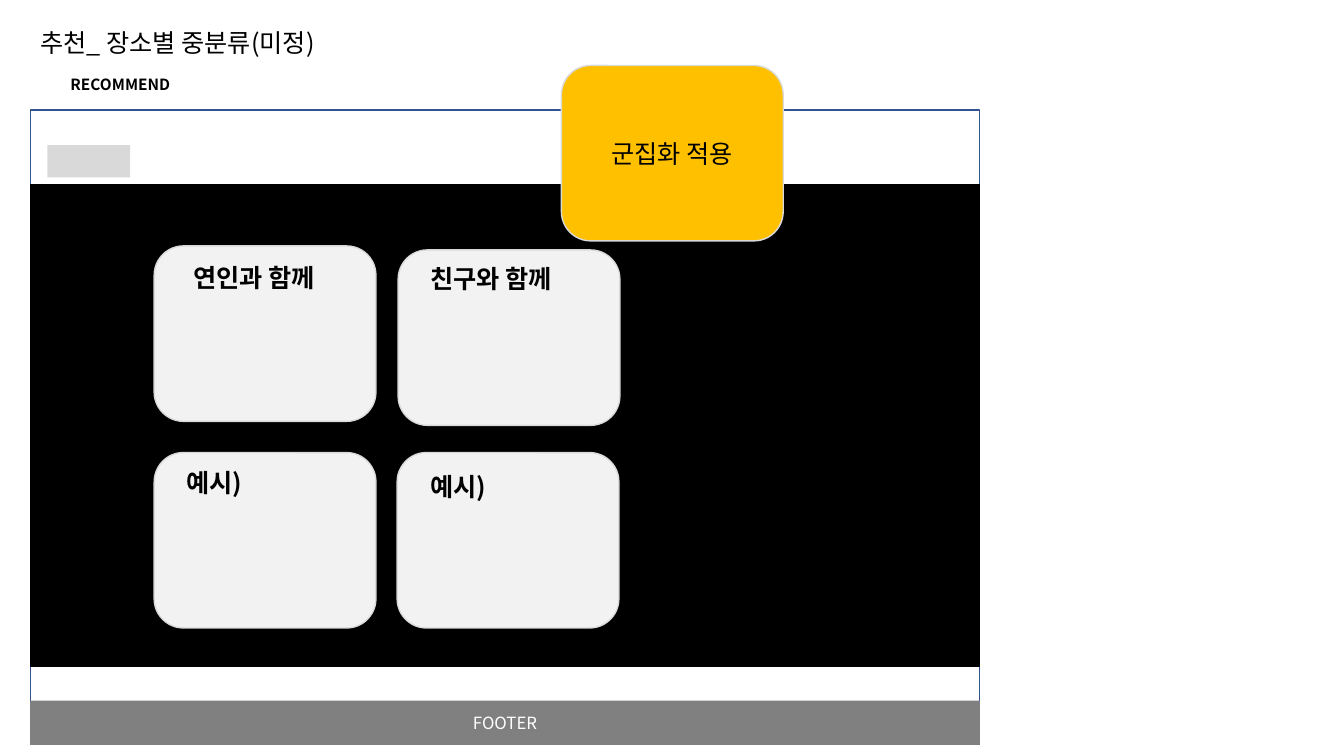
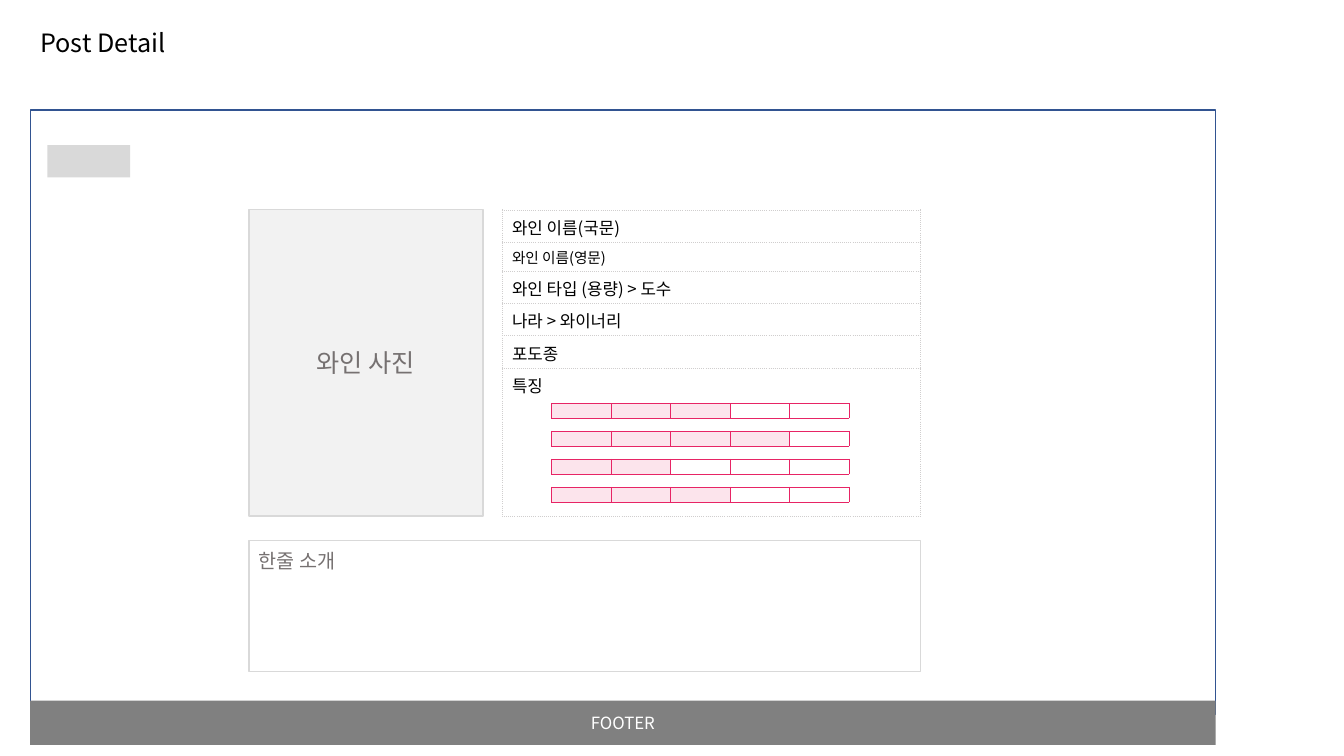
import lxml.etree
import pptx
import pptx.dml.color
import pptx.enum.shapes
import pptx.enum.text
import pptx.oxml.ns
import pptx.util

# Every length is a count of columns or rows on a grid of tenth-inch cells.
CELL = pptx.util.Inches(0.1)
PAGE_COLUMNS, PAGE_ROWS = 133.33, 75
TITLE_ONLY = 5

FONT = "Noto Sans CJK KR"
BLACK, WHITE = "000000", "FFFFFF"
FRAME_BLUE = "325491"
FOOTER_GREY = "808080"
PANEL, PANEL_EDGE = "F2F2F2", "D9D9D9"
HINT_GREY, DOT_GREY = "767171", "D0CECE"
HIGHLIGHT = "FFC000"
GAUGE, GAUGE_FILL = "E72465", "FCE4EC"

SHAPE = pptx.enum.shapes.MSO_SHAPE
ALIGN = pptx.enum.text.PP_ALIGN
ANCHOR = pptx.enum.text.MSO_ANCHOR

PAGE_LEFT = 3
FRAME_TOP, FRAME_ROWS = 10.9, 60
FOOTER_TOP, FOOTER_ROWS = 69.5, 4.4
CARD_SIZE = (22, 17.4)


def cells(count):
    return round(count * CELL)


def place(left, top, columns, rows):
    return [cells(count) for count in (left, top, columns, rows)]


def rgb(colour):
    return pptx.dml.color.RGBColor.from_string(colour)


def format_text(para, size, colour=BLACK, bold=False, align=ALIGN.LEFT):
    para.alignment = align
    for span in para.runs:
        span.font.size = pptx.util.Pt(size)
        span.font.bold = bold
        span.font.name = FONT
        span.font.color.rgb = rgb(colour)
        east_asian = lxml.etree.Element(pptx.oxml.ns.qn("a:ea"), typeface=FONT)
        span.font._element.find(pptx.oxml.ns.qn("a:latin")).addnext(east_asian)


def add_box(page, area, fill=None, line=None, kind=SHAPE.RECTANGLE):
    box = page.shapes.add_shape(kind, *place(*area))
    box.shadow.inherit = False
    if fill:
        box.fill.solid()
        box.fill.fore_color.rgb = rgb(fill)
    else:
        box.fill.background()
    if line:
        box.line.color.rgb = rgb(line)
        box.line.width = pptx.util.Pt(1)
    else:
        box.line.fill.background()
    return box


def write_in(box, text, size, colour=BLACK, align=ALIGN.CENTER, anchor=ANCHOR.MIDDLE):
    box.text_frame.text = text
    box.text_frame.vertical_anchor = anchor
    format_text(box.text_frame.paragraphs[0], size, colour, align=align)


def add_label(page, area, text, size, align=ALIGN.LEFT):
    box = page.shapes.add_textbox(*place(*area))
    box.text_frame.word_wrap = True
    box.text_frame.text = text
    format_text(box.text_frame.paragraphs[0], size, bold=True, align=align)


def add_card(page, left, top, fill=PANEL):
    return add_box(page, (left, top, *CARD_SIZE), fill, PANEL_EDGE,
                   SHAPE.FLOWCHART_ALTERNATE_PROCESS)


def border_cell(cell, colour, dash):
    properties = cell._tc.get_or_add_tcPr()
    for index, side in enumerate(("lnL", "lnR", "lnT", "lnB")):
        edge = lxml.etree.Element(pptx.oxml.ns.qn("a:" + side),
                                  w=str(pptx.util.Pt(0.25)))
        fill = lxml.etree.SubElement(edge, pptx.oxml.ns.qn("a:solidFill"))
        lxml.etree.SubElement(fill, pptx.oxml.ns.qn("a:srgbClr"), val=colour)
        lxml.etree.SubElement(edge, pptx.oxml.ns.qn("a:prstDash"), val=dash)
        properties.insert(index, edge)


def add_plain_table(page, area, row_count, column_count, colour, dash):
    """Add a table with no banding, no fills and thin borders."""
    table = page.shapes.add_table(row_count, column_count, *place(*area)).table
    table.first_row = table.horz_banding = False
    for cell in table.iter_cells():
        cell.fill.background()
        border_cell(cell, colour, dash)
    return table


def add_facts(page, area, facts):
    """Add a one-column table of (text, size, rows); the last row takes the rest."""
    table = add_plain_table(page, area, len(facts), 1, DOT_GREY, "sysDot")
    used = sum(rows or 0 for text, size, rows in facts)
    for index, (text, size, rows) in enumerate(facts):
        table.rows[index].height = cells(rows or area[3] - used)
        cell = table.cell(index, 0)
        cell.margin_bottom = cells(0.2)
        cell.text_frame.text = text
        format_text(cell.text_frame.paragraphs[0], size)


def add_gauge(page, area, level, steps=5):
    table = add_plain_table(page, area, 1, steps, GAUGE, "solid")
    for index, cell in enumerate(table.iter_cells()):
        cell.margin_top = cell.margin_bottom = 0
        lxml.etree.SubElement(cell.text_frame.paragraphs[0]._p,
                              pptx.oxml.ns.qn("a:endParaRPr"), sz="200")
        if index < level:
            cell.fill.solid()
            cell.fill.fore_color.rgb = rgb(GAUGE_FILL)


def add_page(deck, title, frame_columns):
    """Add a slide with its title, browser frame and a plain header block."""
    page = deck.slides.add_slide(deck.slide_layouts[TITLE_ONLY])
    heading = page.shapes.title
    heading.left, heading.top, heading.width, heading.height = place(
        PAGE_LEFT, 2.2, 35.9, 4)
    write_in(heading, title, 18, align=ALIGN.LEFT, anchor=ANCHOR.TOP)
    add_box(page, (PAGE_LEFT, FRAME_TOP, frame_columns, FRAME_ROWS), line=FRAME_BLUE)
    add_box(page, (4.7, 14.4, 8.2, 3.2), PANEL_EDGE)
    return page


def add_footer(page, columns):
    footer = add_box(page, (PAGE_LEFT, FOOTER_TOP, columns, FOOTER_ROWS), FOOTER_GREY)
    write_in(footer, "FOOTER", 12, WHITE)


def build_recommend(deck):
    columns = 94.2
    page = add_page(deck, "추천_ 장소별 중분류(미정)", columns)
    add_box(page, (PAGE_LEFT, 18.3, columns, 47.8), BLACK, BLACK)
    add_label(page, (5.7, 7, 12.5, 2.9), "RECOMMEND", 11, ALIGN.CENTER)
    cards = [
        ("연인과 함께", 15.3, 24.4, 18.2, 25.5),
        ("친구와 함께", 39.5, 24.8, 41.7, 25.6),
        ("예시)", 15.3, 44.9, 17.5, 45.9),
        ("예시)", 39.4, 44.9, 41.7, 46.3),
    ]
    for text, left, top, text_left, text_top in cards:
        add_card(page, left, top)
        add_label(page, (text_left, text_top, 19.1, 4), text, 18)
    add_footer(page, columns)
    write_in(add_card(page, 55.7, 6.5, HIGHLIGHT), "군집화 적용", 18)


def build_post_detail(deck):
    columns = 117.6
    left, top, rows = 24.7, 20.8, 30.4
    page = add_page(deck, "Post Detail", columns)
    photo = add_box(page, (left, top, 23.2, rows), PANEL, PANEL_EDGE)
    write_in(photo, "와인 사진", 18, HINT_GREY)
    add_facts(page, (49.8, top, 41.5, rows), [
        ("와인 이름(국문)", 12, 3.2),
        ("와인 이름(영문)", 10.5, 2.9),
        ("와인 타입 (용량) > 도수", 12, 3.2),
        ("나라 > 와이너리", 12, 3.2),
        ("포도종", 12, 3.2),
        ("특징", 12, None),
    ])
    for index, level in enumerate((3, 4, 2, 3)):
        add_gauge(page, (54.7, 40 + 2.77 * index, 29.5, 1.5), level)
    add_footer(page, columns)
    intro = add_box(page, (left, 53.6, 66.6, 13), line=PANEL_EDGE)
    intro.text_frame.margin_top = cells(0.9)
    write_in(intro, "한줄 소개", 14, HINT_GREY, ALIGN.LEFT, ANCHOR.TOP)


def main():
    deck = pptx.Presentation()
    deck.slide_width, deck.slide_height = cells(PAGE_COLUMNS), cells(PAGE_ROWS)
    build_recommend(deck)
    build_post_detail(deck)
    deck.save("out.pptx")


if __name__ == "__main__":
    main()
